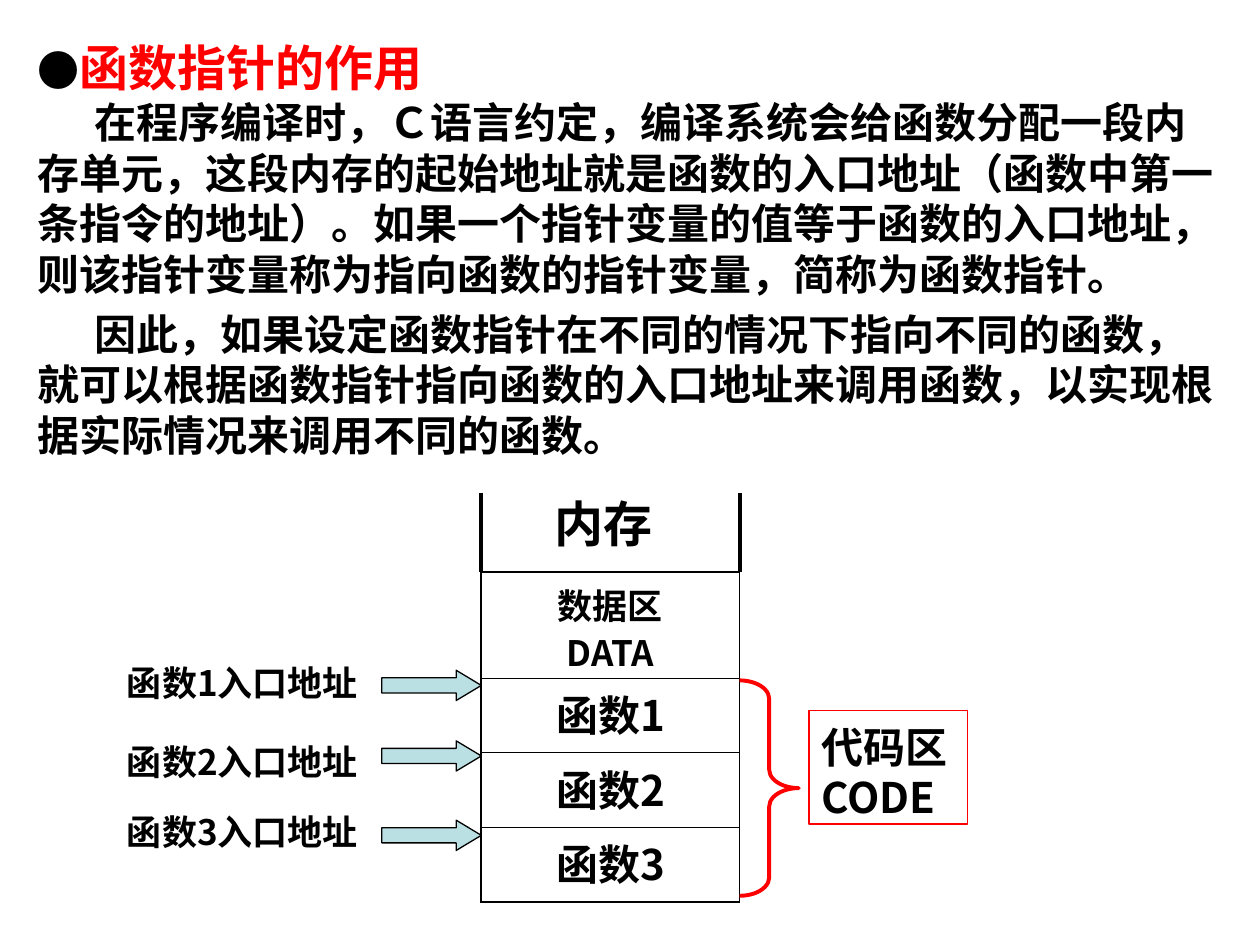
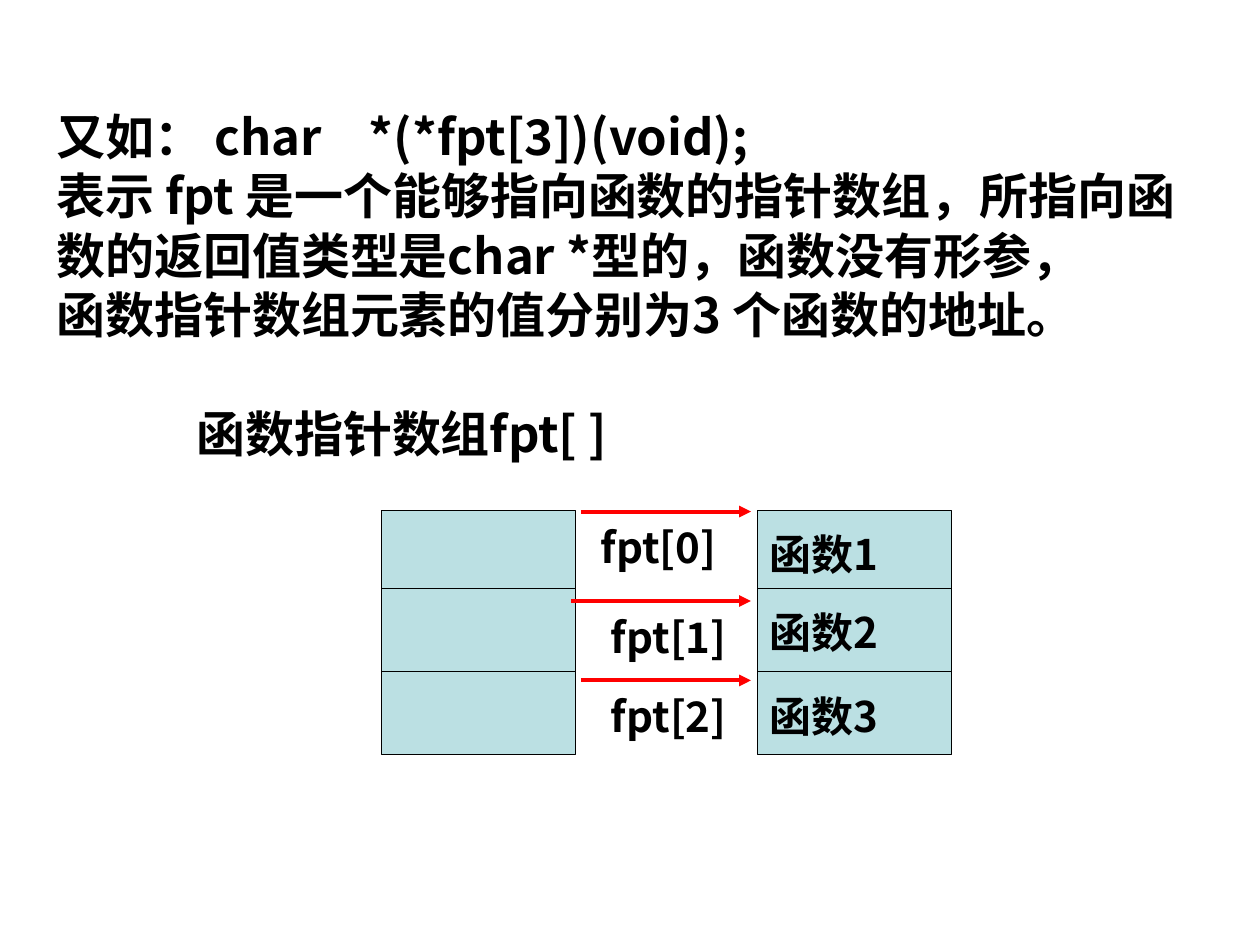
from lxml import etree
from pptx import Presentation
from pptx import util as u
from pptx.dml.color import RGBColor
from pptx.enum import shapes, text
from pptx.oxml import ns

COLUMNS, ROWS = 100, 75
FONT = "Noto Sans CJK SC"
BLACK, RED, TEAL = "000000", "FF0000", "BBE0E3"
LINE_HEIGHT = 1.2
INSETS = {"margin_left": u.Inches(0.1), "margin_right": u.Inches(0.1),
          "margin_top": u.Inches(0.08), "margin_bottom": u.Inches(0.05)}
CELL_INSETS = {**INSETS, "margin_top": u.Inches(0.12), "margin_bottom": 0}


def color(value):
    return RGBColor.from_string(value)


def apply(target, formats):
    for name, value in formats.items():
        setattr(target, name, value)


def add_xml(parent, tag, **attributes):
    return etree.SubElement(parent, ns.qn(tag), attributes)


class Deck:
    """Shared style plus the slide being filled; lengths are grid columns and rows."""

    def __init__(self):
        self.presentation = Presentation()
        apply(self.presentation, {"slide_width": u.Inches(10), "slide_height": u.Inches(7.5)})
        self.slide = None

    def new_slide(self):
        self.slide = self.presentation.slides.add_slide(self.presentation.slide_layouts[6])

    def x(self, columns):
        return round(self.presentation.slide_width * columns / COLUMNS)

    def y(self, rows):
        return round(self.presentation.slide_height * rows / ROWS)

    def box(self, left, top, width, height):
        return self.x(left), self.y(top), self.x(width), self.y(height)

    def paragraph(self, frame, runs, size, first, indent=0, tab=None, **formats):
        """Add one paragraph; runs is a string or a list of (words, size, colour)."""
        paragraph = frame.paragraphs[0] if first else frame.add_paragraph()
        runs = [(runs, size, BLACK)] if isinstance(runs, str) else runs
        tallest = max(run_size for _, run_size, _ in runs)
        apply(paragraph, {"alignment": text.PP_ALIGN.LEFT,
                          "line_spacing": u.Pt(round(tallest * LINE_HEIGHT)), **formats})
        properties = paragraph._p.get_or_add_pPr()
        if indent:
            properties.set("indent", str(self.x(indent)))
        if tab:
            stops = add_xml(properties, "a:tabLst")
            add_xml(stops, "a:tab", pos=str(self.x(tab)), algn="l")
        for words, run_size, run_color in runs:
            run = paragraph.add_run()
            run.text = words
            apply(run.font, {"size": u.Pt(run_size), "bold": True, "name": FONT})
            run.font.color.rgb = color(run_color)
            add_xml(run._r.get_or_add_rPr(), "a:ea", typeface=FONT)

    def fill_text(self, frame, paragraphs, size, anchor=text.MSO_ANCHOR.TOP):
        """Write paragraphs, each a string or a dict of paragraph() arguments."""
        apply(frame, {**INSETS, "word_wrap": True, "vertical_anchor": anchor})
        for index, item in enumerate(paragraphs):
            item = {"runs": item} if isinstance(item, str) else item
            self.paragraph(frame, size=size, first=index == 0, **item)

    def text_box(self, place, paragraphs, size):
        shape = self.slide.shapes.add_textbox(*self.box(*place))
        self.fill_text(shape.text_frame, paragraphs, size)

    def shape(self, kind, place, fill=None, line=BLACK, width=0.75, adjustments=(),
              paragraphs=(), size=24, anchor=text.MSO_ANCHOR.MIDDLE):
        shape = self.slide.shapes.add_shape(kind, *self.box(*place))
        shape.shadow.inherit = False
        if fill:
            shape.fill.solid()
            shape.fill.fore_color.rgb = color(fill)
        else:
            shape.fill.background()
        shape.line.color.rgb = color(line)
        shape.line.width = u.Pt(width)
        for index, value in enumerate(adjustments):
            shape.adjustments[index] = value
        if paragraphs:
            self.fill_text(shape.text_frame, paragraphs, size, anchor)

    def line(self, start, end, line=BLACK, arrow=False):
        connector = self.slide.shapes.add_connector(
            shapes.MSO_CONNECTOR.STRAIGHT, self.x(start[0]), self.y(start[1]),
            self.x(end[0]), self.y(end[1]))
        connector.line.color.rgb = color(line)
        connector.line.width = u.Pt(2.25)
        if arrow:
            add_xml(connector.line._get_or_add_ln(), "a:tailEnd", type="triangle")
        add_xml(connector._element.spPr, "a:effectLst")

    def cell_borders(self, cell, widths):
        properties = cell._tc.get_or_add_tcPr()
        for side, width in zip("LRTB", widths):
            border = add_xml(properties, f"a:ln{side}", w=str(u.Pt(width)))
            add_xml(add_xml(border, "a:solidFill"), "a:srgbClr", val=BLACK)

    def memory_table(self, left, top, width, rows):
        """One-column table; rows holds (height, text size, lines)."""
        outer, inner = 1.08, 0.45
        height = sum(row[0] for row in rows)
        table = self.slide.shapes.add_table(
            len(rows), 1, *self.box(left, top, width, height)).table
        apply(table, {"first_row": False, "horz_banding": False})
        for index, (row_height, size, lines) in enumerate(rows):
            table.rows[index].height = self.y(row_height)
            cell = table.cell(index, 0)
            apply(cell, CELL_INSETS)
            upper = outer if index == 0 else inner
            lower = outer if index == len(rows) - 1 else inner
            self.cell_borders(cell, (outer, outer, upper, lower))
            cell.fill.background()
            for number, words in enumerate(lines):
                self.paragraph(cell.text_frame, words, size, number == 0,
                               alignment=text.PP_ALIGN.CENTER,
                               space_before=u.Pt(3 if number else 0))


def build_purpose_slide(deck):
    deck.new_slide()
    deck.text_box((2, 2.1, 96.1, 34.4), [
        {"runs": [("●", 24, BLACK), ("函数指针的作用", 28, RED)]},
        {"runs": "在程序编译时，Ｃ语言约定，编译系统会给函数分配一段内存单元，这段内存的起始地址"
                 "就是函数的入口地址（函数中第一条指令的地址）。如果一个指针变量的值等于函数的"
                 "入口地址，则该指针变量称为指向函数的指针变量，简称为函数指针。", "indent": 4.5},
        {"runs": "因此，如果设定函数指针在不同的情况下指向不同的函数，就可以根据函数指针指向"
                 "函数的入口地址来调用函数，以实现根据实际情况来调用不同的函数。",
         "indent": 4.5, "space_before": u.Pt(5)},
    ], 24)

    left, top, width = 38.2, 45.4, 20.5
    right = left + width
    functions = [(5.93, 24, [f"函数{number}"]) for number in (1, 2, 3)]
    deck.memory_table(left, top, width, [(8.4, 20, ["数据区", "DATA"]), *functions])
    for side in (left, right):
        deck.line((side, 39.1), (side, top))
    deck.text_box((43, 38.3, 12, 5.7), ["内存"], 28)

    deck.shape(shapes.MSO_SHAPE.RIGHT_BRACE, (right, 54, 4.7, 17.1), line=RED, width=2.25,
               adjustments=(0.31, 0.5))
    deck.shape(shapes.MSO_SHAPE.RECTANGLE, (64.2, 56.4, 12.6, 9), line=RED,
               paragraphs=["代码区", "CODE"], anchor=text.MSO_ANCHOR.TOP)

    entries = [(51.7, 53.2), (58, 58.8), (63.5, 65.1)]
    for number, (label_top, arrow_top) in enumerate(entries, 1):
        deck.text_box((9.1, label_top, 23, 4.4), [f"函数{number}入口地址"], 20)
        deck.shape(shapes.MSO_SHAPE.RIGHT_ARROW, (30.3, arrow_top, 7.9, 2.4), fill=TEAL,
                   adjustments=(0.5, 0.83))


def build_array_slide(deck):
    deck.new_slide()
    deck.text_box((3.5, 7.6, 92.5, 19.7), [
        {"runs": "又如： char\t*(*fpt[3])(void);", "tab": 24.8},
        "表示 fpt 是一个能够指向函数的指针数组，所指向函数的返回值类型是char *型的，"
        "函数没有形参，",
        "函数指针数组元素的值分别为3 个函数的地址。",
    ], 28)
    deck.text_box((14.6, 31.2, 40.2, 5.7), ["函数指针数组fpt[ ]"], 28)

    # top of the boxes, start and height of the arrow, left of the label
    entries = [(40.5, 46.1, 40.6, 46.7), (46.7, 45.3, 47.7, 47.5), (53.3, 46.1, 54, 47.5)]
    for index, (top, arrow_left, arrow_top, label_left) in enumerate(entries):
        deck.shape(shapes.MSO_SHAPE.RECTANGLE, (30.3, top, 15.4, 6.6), fill=TEAL)
        deck.shape(shapes.MSO_SHAPE.RECTANGLE, (60.1, top, 15.4, 6.6), fill=TEAL,
                   paragraphs=[f"函数{index + 1}"])
        deck.line((arrow_left, arrow_top), (59.6, arrow_top), RED, arrow=True)
        deck.text_box((label_left, arrow_top, 14, 5), [f"fpt[{index}]"], 24)


def main():
    deck = Deck()
    build_purpose_slide(deck)
    build_array_slide(deck)
    deck.presentation.save("out.pptx")


if __name__ == "__main__":
    main()
